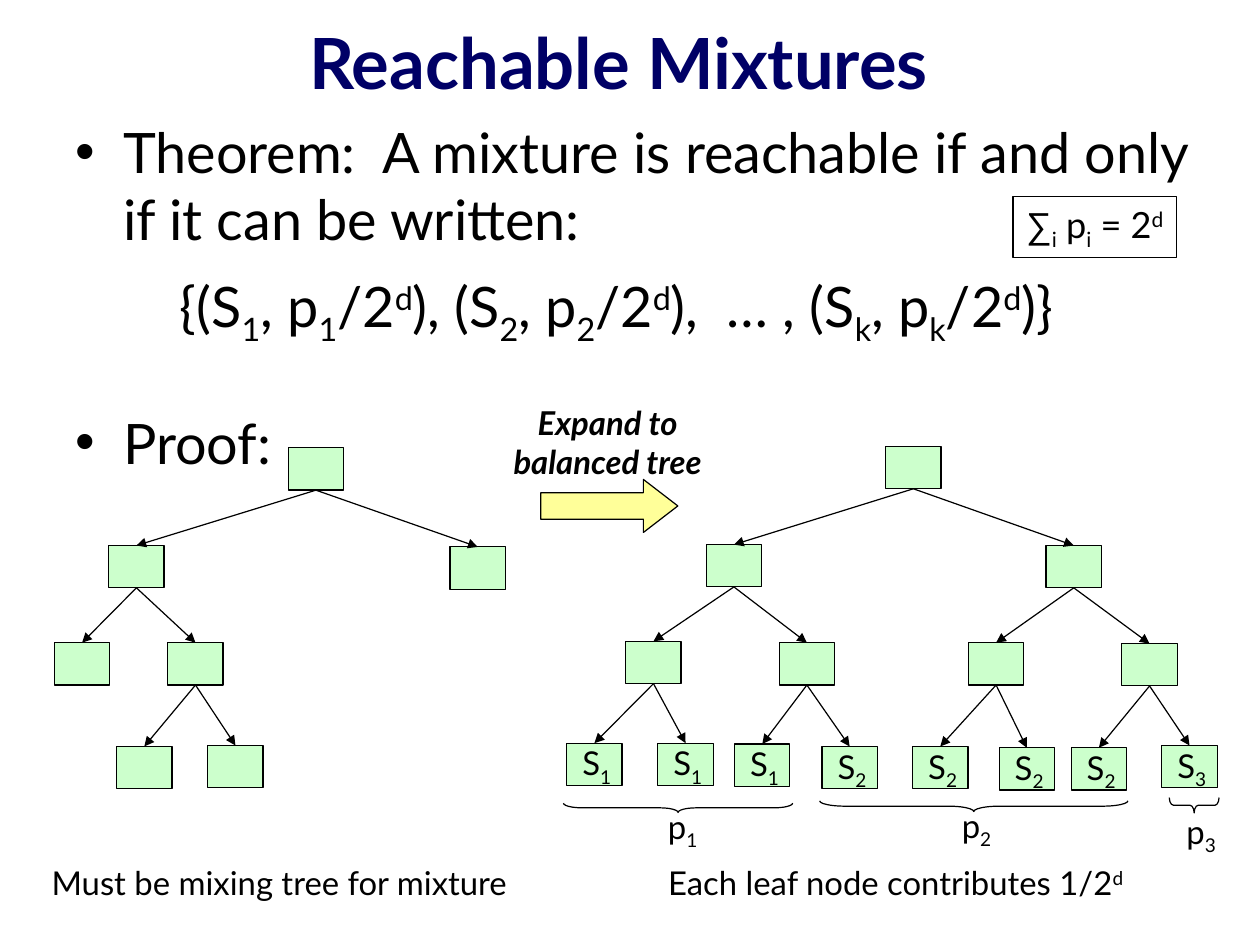
from dataclasses import dataclass

from lxml.etree import SubElement
from pptx import Presentation
from pptx.dml.color import RGBColor
from pptx.enum.shapes import MSO_CONNECTOR as Connector, MSO_SHAPE as Shape
from pptx.enum.text import MSO_ANCHOR as Anchor, MSO_AUTO_SIZE as AutoSize, PP_ALIGN as Align
from pptx.oxml.ns import qn
from pptx.util import Cm, Pt

BLACK, NAVY, GREEN, YELLOW = "000000", "000066", "CCFFCC", "FFFF99"
FONT = "Lato"
NODE_WIDTH, NODE_HEIGHT = 1.19, 0.91
BASELINES = {"_": "-25000", "^": "30000"}


@dataclass
class Node:
    left: float
    top: float
    children: tuple["Node", ...] = ()
    label: str = ""


@dataclass
class Caption:
    text: str
    left: float
    top: float
    width: float
    height: float
    size: float = 20
    emphasis: bool = False
    framed: bool = False


@dataclass
class Brace:
    left: float
    top: float
    width: float
    height: float
    curve: float


def color(value: str) -> RGBColor:
    return RGBColor.from_string(value)


def set_font(paragraph, size: float, tint: str = BLACK, bold: bool = False, italic: bool = False) -> None:
    font = paragraph.font
    font.name, font.size = FONT, Pt(size)
    font.bold, font.italic = bold, italic
    font.color.rgb = color(tint)


def add_rich_text(paragraph, text: str) -> None:
    for piece in text.split("|"):
        run = paragraph.add_run()
        if piece[0] in BASELINES:
            run.text = piece[1:]
            run._r.get_or_add_rPr().set("baseline", BASELINES[piece[0]])
        else:
            run.text = piece


def set_indent(paragraph, margin: float, hanging: float = 0, bullet: str = "") -> None:
    properties = paragraph._p.get_or_add_pPr()
    properties.set("marL", str(Cm(margin)))
    properties.set("indent", str(-Cm(hanging)))
    if bullet:
        SubElement(properties, qn("a:buFont")).set("typeface", "Arial")
        SubElement(properties, qn("a:buChar")).set("char", bullet)


def add_outlined(slide, kind, left: float, top: float, width: float, height: float, fill: str = ""):
    shape = slide.shapes.add_shape(kind, Cm(left), Cm(top), Cm(width), Cm(height))
    shape.shadow.inherit = False
    if fill:
        shape.fill.solid()
        shape.fill.fore_color.rgb = color(fill)
    else:
        shape.fill.background()
    shape.line.color.rgb = color(BLACK)
    shape.line.width = Pt(0.75)
    return shape


def add_arrow(slide, parent: Node, child: Node) -> None:
    half = NODE_WIDTH / 2
    arrow = slide.shapes.add_connector(
        Connector.STRAIGHT,
        Cm(parent.left + half), Cm(parent.top + NODE_HEIGHT),
        Cm(child.left + half), Cm(child.top),
    )
    arrow.line.color.rgb = color(BLACK)
    arrow.line.width = Pt(0.75)
    SubElement(arrow.line._get_or_add_ln(), qn("a:tailEnd")).set("type", "triangle")
    SubElement(arrow._element.spPr, qn("a:effectLst"))


def add_tree(slide, node: Node) -> None:
    box = add_outlined(slide, Shape.RECTANGLE, node.left, node.top, NODE_WIDTH, NODE_HEIGHT, GREEN)
    if node.label:
        frame = box.text_frame
        frame.word_wrap = False
        frame.vertical_anchor = Anchor.TOP
        frame.margin_left = Cm(0.1)
        frame.margin_right = frame.margin_top = frame.margin_bottom = 0
        paragraph = frame.paragraphs[0]
        paragraph.alignment = Align.CENTER
        set_font(paragraph, 20)
        add_rich_text(paragraph, node.label)
    for child in node.children:
        add_tree(slide, child)
        add_arrow(slide, node, child)


def add_caption(slide, caption: Caption):
    box = slide.shapes.add_textbox(
        Cm(caption.left), Cm(caption.top), Cm(caption.width), Cm(caption.height))
    if caption.framed:
        box.line.color.rgb = color(BLACK)
        box.line.width = Pt(0.75)
    frame = box.text_frame
    frame.word_wrap = False
    for index, line in enumerate(caption.text.split("\n")):
        paragraph = frame.add_paragraph() if index else frame.paragraphs[0]
        paragraph.alignment = Align.CENTER
        set_font(paragraph, caption.size, bold=caption.emphasis, italic=caption.emphasis)
        add_rich_text(paragraph, line)
    return frame


def add_brace(slide, brace: Brace) -> None:
    left = brace.left + (brace.width - brace.height) / 2
    top = brace.top + (brace.height - brace.width) / 2
    shape = add_outlined(slide, Shape.LEFT_BRACE, left, top, brace.height, brace.width)
    shape.rotation = 270
    shape.adjustments[0] = brace.curve


def add_title(slide) -> None:
    title = slide.shapes.title
    title.left, title.top, title.width, title.height = Cm(0), Cm(-0.38), Cm(26.6), Cm(3.38)
    frame = title.text_frame
    frame.text = "Reachable Mixtures"
    frame.auto_size = AutoSize.NONE
    frame.vertical_anchor = Anchor.MIDDLE
    frame.paragraphs[0].alignment = Align.CENTER
    set_font(frame.paragraphs[0], 43, NAVY, bold=True)


def add_theorem(slide) -> None:
    frame = slide.shapes.add_textbox(Cm(1.35), Cm(2.41), Cm(25.3), Cm(15.44)).text_frame
    frame.word_wrap = True
    frame.margin_left = frame.margin_right = Cm(0.28)
    theorem, formula, proof = frame.paragraphs[0], frame.add_paragraph(), frame.add_paragraph()
    set_indent(theorem, 1.02, 1.02, "•")
    set_indent(formula, 2.24)
    set_indent(proof, 1.02, 1.02, "•")
    formula.space_before = Pt(12)
    proof.space_before, proof.line_spacing = Pt(8.5), 1.7
    add_rich_text(theorem, "Theorem:  A mixture is reachable if and only if it can be written:")
    add_rich_text(formula, "{(S|_1|, p|_1|/2|^d|), (S|_2|, p|_2|/2|^d|),  … , (S|_k|, p|_k|/2|^d|)}")
    add_rich_text(proof, "Proof:")
    for paragraph in frame.paragraphs:
        set_font(paragraph, 34)


MIXING_TREE = Node(6.2, 9.63, (
    Node(2.34, 11.73, (
        Node(1.17, 13.82),
        Node(3.61, 13.82, (Node(2.51, 16.05), Node(4.47, 16.03))))),
    Node(9.68, 11.76)))
BALANCED_TREE = Node(19.05, 9.6, (
    Node(15.19, 11.71, (
        Node(13.46, 13.79, (Node(12.19, 15.98, label="S|_1"), Node(14.15, 15.98, label="S|_1"))),
        Node(16.76, 13.82, (Node(15.8, 16, label="S|_1"), Node(17.68, 16.05, label="S|_2"))))),
    Node(22.5, 11.73, (
        Node(20.83, 13.82, (Node(19.63, 16.05, label="S|_2"), Node(21.49, 16.08, label="S|_2"))),
        Node(24.13, 13.84, (Node(23.04, 16.08, label="S|_2"), Node(24.99, 16.03, label="S|_3")))))))
CAPTIONS = (
    Caption("Must be mixing tree for mixture", 0.46, 18.42, 11.1, 1.12),
    Caption("Each leaf node contributes 1/2|^d", 13.84, 18.42, 10.85, 1.12),
    Caption("Expand to\nbalanced tree", 10.52, 8.53, 5.1, 1.96, emphasis=True),
    Caption("p|_1", 14.1, 17.22, 1.17, 1.22),
    Caption("p|_2", 20.42, 17.2, 1.17, 1.22),
    Caption("p|_3", 25.25, 17.32, 1.17, 1.22),
)
BRACES = (
    Brace(12.12, 17.27, 4.93, 0.2, 2),
    Brace(17.63, 17.22, 6.63, 0.23, 2.4),
    Brace(25.15, 17.15, 1.07, 0.33, 0.27),
)


def main() -> None:
    deck = Presentation()
    deck.slide_width, deck.slide_height = Cm(27.1), Cm(20.32)
    slide = deck.slides.add_slide(deck.slide_layouts[5])
    add_title(slide)
    add_theorem(slide)
    for tree in (MIXING_TREE, BALANCED_TREE):
        add_tree(slide, tree)
    expansion = add_outlined(slide, Shape.RIGHT_ARROW, 11.63, 10.31, 2.95, 1.14, YELLOW)
    expansion.adjustments[1] = 0.65
    for caption in CAPTIONS:
        add_caption(slide, caption)
    for brace in BRACES:
        add_brace(slide, brace)
    total = add_caption(slide, Caption("∑|_i| p|_i| = 2|^d", 21.79, 4.22, 3.51, 1.32, 22, framed=True))
    total.paragraphs[0].runs[0].font.name = "Arial"
    deck.save("out.pptx")


if __name__ == "__main__":
    main()
